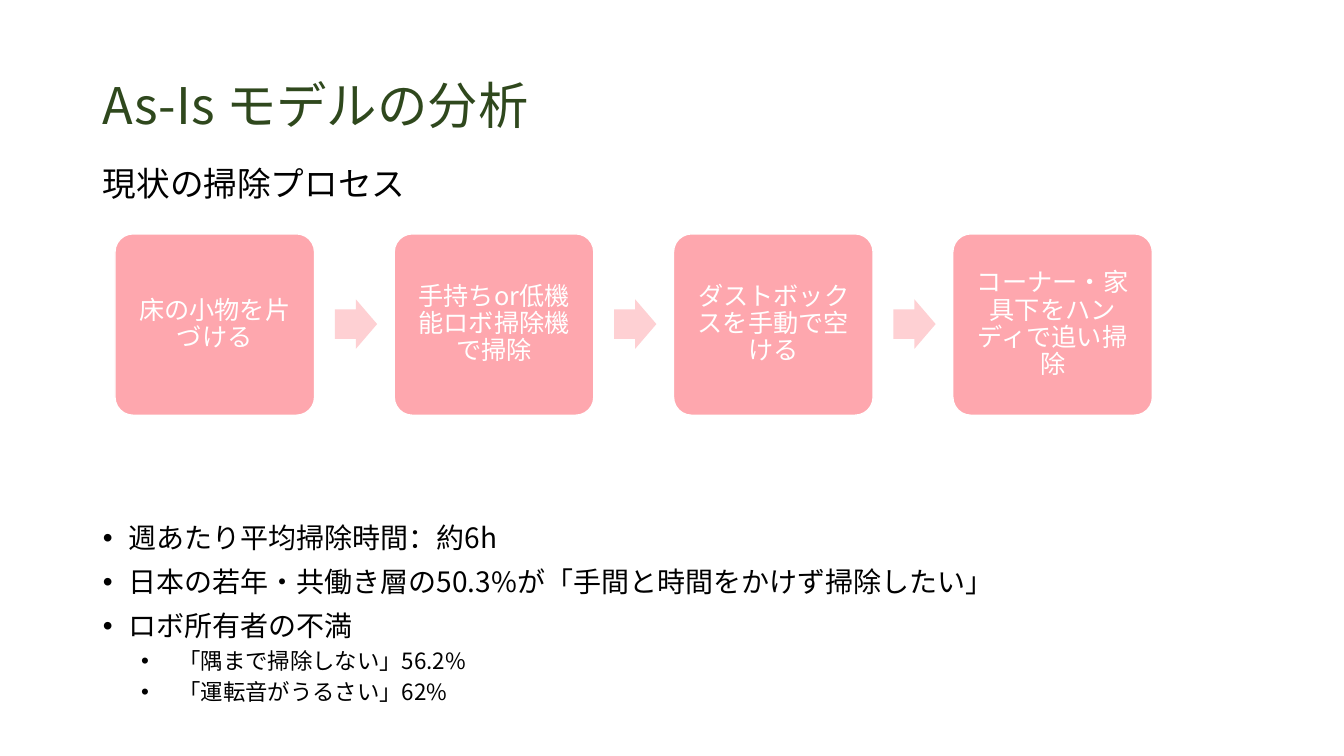
from dataclasses import dataclass

from lxml import etree
from pptx import Presentation
from pptx import util as u
from pptx.dml.color import RGBColor
from pptx.enum import shapes, text
from pptx.oxml import ns

FONT = "Noto Sans CJK JP"
COLORS = {
    "background": "FFFFFF",
    "title": "2F481D",
    "body": "000000",
    "card": "FEA7AE",
    "arrow": "FED0D3",
    "card_text": "FFFFFF",
}


@dataclass
class Box:
    left: float
    top: float
    width: float
    height: float

    def lengths(self) -> list:
        return [u.Inches(v) for v in (self.left, self.top, self.width, self.height)]


@dataclass
class Finding:
    wording: str
    level: int = 0


@dataclass
class ListStyle:
    size: int
    margin: float
    hanging: float
    space_before: int


STEPS = [
    "床の小物を片づける",
    "手持ちor低機能ロボ掃除機で掃除",
    "ダストボックスを手動で空ける",
    "コーナー・家具下をハンディで追い掃除",
]
FINDINGS = [
    Finding("週あたり平均掃除時間：約6h"),
    Finding("日本の若年・共働き層の50.3%が「手間と時間をかけず掃除したい」"),
    Finding("ロボ所有者の不満"),
    Finding("「隅まで掃除しない」56.2%", level=1),
    Finding("「運転音がうるさい」62%", level=1),
]
LIST_STYLES = [ListStyle(20, 0.25, 0.25, 10), ListStyle(16, 0.75, 0.37, 5)]
FIRST_CARD = Box(1.14, 2.32, 1.98, 1.8)
CARD_PITCH = 2.77
ARROW_OFFSET = 2.18


def color(name: str) -> RGBColor:
    return RGBColor.from_string(COLORS[name])


def place(shape, box: Box) -> None:
    shape.left, shape.top, shape.width, shape.height = box.lengths()


def add_text(paragraph, wording: str, size: int, color_name: str,
             alignment=text.PP_ALIGN.LEFT) -> None:
    paragraph.alignment = alignment
    paragraph.line_spacing = 0.9
    run = paragraph.add_run()
    run.text = wording
    run.font.size = u.Pt(size)
    run.font.name = FONT
    run.font.color.rgb = color(color_name)
    east_asian = etree.SubElement(run.font._element, ns.qn("a:ea"))
    east_asian.set("typeface", FONT)


def set_bullet(paragraph, margin: float, hanging: float, symbol: str = "") -> None:
    properties = paragraph._p.get_or_add_pPr()
    properties.set("marL", str(u.Inches(margin)))
    properties.set("indent", str(-u.Inches(hanging)))
    if symbol:
        font = etree.SubElement(properties, ns.qn("a:buFont"))
        font.set("typeface", "Arial")
        etree.SubElement(properties, ns.qn("a:buChar")).set("char", symbol)
    else:
        etree.SubElement(properties, ns.qn("a:buNone"))


def add_block(slide, kind, box: Box, color_name: str, adjustments: list[float]):
    shape = slide.shapes.add_shape(kind, *box.lengths())
    shape.shadow.inherit = False
    shape.fill.solid()
    shape.fill.fore_color.rgb = color(color_name)
    shape.line.fill.background()
    for index, value in enumerate(adjustments):
        shape.adjustments[index] = value
    return shape


def add_card(slide, wording: str, left: float) -> None:
    box = Box(left, FIRST_CARD.top, FIRST_CARD.width, FIRST_CARD.height)
    card = add_block(slide, shapes.MSO_SHAPE.ROUNDED_RECTANGLE, box, "card", [0.1])
    card.line.color.rgb = color("background")
    card.line.width = u.Pt(1)
    frame = card.text_frame
    frame.word_wrap = True
    frame.vertical_anchor = text.MSO_ANCHOR.MIDDLE
    frame.margin_left = frame.margin_right = u.Inches(0.12)
    frame.margin_top = frame.margin_bottom = u.Inches(0.12)
    add_text(frame.paragraphs[0], wording, 18, "card_text", text.PP_ALIGN.CENTER)


def add_findings(frame) -> None:
    frame.auto_size = text.MSO_AUTO_SIZE.TEXT_TO_FIT_SHAPE
    for index, finding in enumerate(FINDINGS):
        paragraph = frame.add_paragraph() if index else frame.paragraphs[0]
        style = LIST_STYLES[finding.level]
        paragraph.level = finding.level
        add_text(paragraph, finding.wording, style.size, "body")
        paragraph.space_before = u.Pt(style.space_before)
        set_bullet(paragraph, style.margin, style.hanging, "•")


def main() -> None:
    presentation = Presentation()
    presentation.slide_width = u.Inches(13.33)
    presentation.slide_height = u.Inches(7.5)
    slide = presentation.slides.add_slide(presentation.slide_layouts[3])
    title, subtitle, findings = list(slide.placeholders)[:3]

    # Title
    place(title, Box(0.92, 0.35, 11.5, 1.45))
    title.text_frame.auto_size = text.MSO_AUTO_SIZE.NONE
    title.text_frame.vertical_anchor = text.MSO_ANCHOR.MIDDLE
    add_text(title.text_frame.paragraphs[0], "As-Is モデルの分析", 36, "title")

    # Process heading
    place(subtitle, Box(0.92, 1.61, 11.5, 0.54))
    subtitle.text_frame.auto_size = text.MSO_AUTO_SIZE.NONE
    heading = subtitle.text_frame.paragraphs[0]
    add_text(heading, "現状の掃除プロセス", 24, "body")
    heading.space_before = u.Pt(10)
    set_bullet(heading, 0, 0)

    # Process steps, with an arrow after each but the last
    for index, step in enumerate(STEPS):
        left = FIRST_CARD.left + index * CARD_PITCH
        add_card(slide, step, left)
        if index < len(STEPS) - 1:
            arrow_box = Box(left + ARROW_OFFSET, 2.97, 0.42, 0.49)
            add_block(slide, shapes.MSO_SHAPE.RIGHT_ARROW, arrow_box, "arrow", [0.6, 0.5])

    # Findings
    place(findings, Box(0.92, 5.15, 10.89, 2.23))
    add_findings(findings.text_frame)

    presentation.save("out.pptx")


if __name__ == "__main__":
    main()
